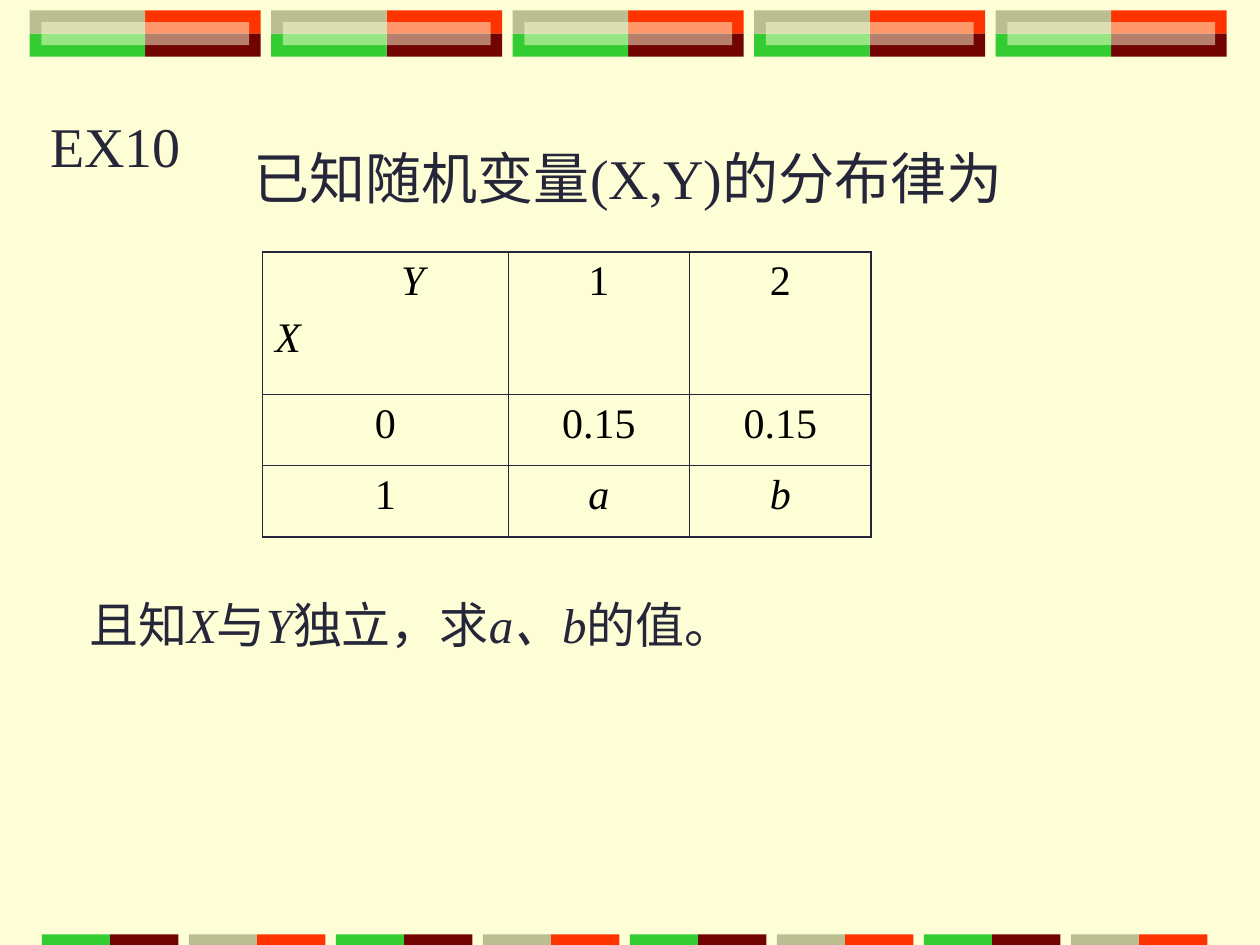
"""Build the EX10 slide: a joint distribution table between two decorative strips."""
from lxml import etree
from pptx import Presentation
from pptx.dml.color import RGBColor
from pptx.enum import shapes, text
from pptx.oxml import ns
from pptx.util import Pt

CREAM = RGBColor(0xFE, 0xFE, 0xD6)
INK = RGBColor(0x26, 0x26, 0x3A)
BLACK = RGBColor(0, 0, 0)
RED = RGBColor(0xFF, 0x33, 0x00)
MAROON = RGBColor(0x71, 0x03, 0x03)
GREEN = RGBColor(0x33, 0xCC, 0x33)
KHAKI = RGBColor(0xBA, 0xBE, 0x90)
FONT = "Times New Roman"

TITLE = [("EX10", False)]
STATEMENT = [("已知随机变量(X,Y)的分布律为", False)]
QUESTION = [("且知", False), ("X", True), ("与", False), ("Y", True),
            ("独立，求", False), ("a、b", True), ("的值。", False)]
TABLE = [
    [["Y", "X"], ["1"], ["2"]],
    [["0"], ["0.15"], ["0.15"]],
    [["1"], ["a"], ["b"]],
]
COLUMN_WIDTHS = [140.4, 103.7, 103.7]
ROW_HEIGHTS = [81.4, 40.8, 40.8]
TOP_TILES = [(1, 0, RED), (1, 1, MAROON), (0, 1, GREEN), (0, 0, KHAKI)]
BOTTOM_PAIRS = [(GREEN, MAROON), (KHAKI, RED)]


def add_rectangle(group, left, top, width, height, color, opacity=None):
    shape = group.shapes.add_shape(
        shapes.MSO_SHAPE.RECTANGLE, Pt(left), Pt(top), Pt(width), Pt(height))
    shape.shadow.inherit = False
    shape.fill.solid()
    shape.fill.fore_color.rgb = color
    shape.line.fill.background()
    if opacity:
        color_element = shape.fill._xPr.find(".//" + ns.qn("a:srgbClr"))
        etree.SubElement(color_element, ns.qn("a:alpha"), val=str(opacity * 1000))


def add_strips(slide):
    width, height, inset = 66, 13.2, 6.6
    top_strip = slide.shapes.add_group_shape()
    for index in range(5):
        left, top = 17 + 138 * index, 6
        for column, row, color in TOP_TILES:
            add_rectangle(top_strip, left + column * width, top + row * height,
                          width, height, color)
        add_rectangle(top_strip, left + inset, top + inset,
                      2 * (width - inset), height, CREAM, opacity=50)
    bottom_strip = slide.shapes.add_group_shape()
    for index in range(8):
        for half, color in enumerate(BOTTOM_PAIRS[index % 2]):
            add_rectangle(bottom_strip, 24 + 84 * index + 39 * half, 534, 39, 6, color)


def add_runs(paragraph, runs, size, color):
    for content, italic in runs:
        run = paragraph.add_run()
        run.text = content
        formats = {"name": FONT, "size": Pt(size), "italic": italic, "bold": False}
        for name, value in formats.items():
            setattr(run.font, name, value)
        run.font.color.rgb = color


def format_text(shape, box, runs, size, wrap):
    for name, value in zip(("left", "top", "width", "height"), box):
        setattr(shape, name, Pt(value))
    formats = {"word_wrap": wrap, "auto_size": text.MSO_AUTO_SIZE.SHAPE_TO_FIT_TEXT,
               "vertical_anchor": text.MSO_ANCHOR.MIDDLE}
    for name, value in formats.items():
        setattr(shape.text_frame, name, value)
    paragraph = shape.text_frame.paragraphs[0]
    paragraph.alignment = text.PP_ALIGN.CENTER
    add_runs(paragraph, runs, size, INK)


def set_borders(cell, outer_sides):
    properties = cell._tc.get_or_add_tcPr()
    for position, (side, outer) in enumerate(outer_sides.items()):
        line = etree.Element(ns.qn("a:" + side), w=str(Pt(1.08 if outer else 0.45)))
        fill = etree.SubElement(line, ns.qn("a:solidFill"))
        etree.SubElement(fill, ns.qn("a:srgbClr"), val=str(INK))
        properties.insert(position, line)


def add_distribution(slide):
    last_row, last_column = len(ROW_HEIGHTS) - 1, len(COLUMN_WIDTHS) - 1
    table = slide.shapes.add_table(
        len(ROW_HEIGHTS), len(COLUMN_WIDTHS), Pt(150), Pt(144),
        Pt(sum(COLUMN_WIDTHS)), Pt(sum(ROW_HEIGHTS))).table
    table.first_row = table.horz_banding = False
    for column, width in zip(table.columns, COLUMN_WIDTHS):
        column.width = Pt(width)
    for row, height in zip(table.rows, ROW_HEIGHTS):
        row.height = Pt(height)
    for r, values in enumerate(TABLE):
        for c, lines in enumerate(values):
            cell = table.cell(r, c)
            cell.fill.background()
            is_corner = len(lines) > 1
            for index, content in enumerate(lines):
                frame = cell.text_frame
                paragraph = frame.add_paragraph() if index else frame.paragraphs[0]
                paragraph.alignment = (
                    text.PP_ALIGN.LEFT if is_corner else text.PP_ALIGN.CENTER)
                if index:
                    paragraph.space_before = Pt(6)
                elif is_corner:
                    paragraph._p.get_or_add_pPr().set("marL", str(Pt(72)))
                add_runs(paragraph, [(content, content.isalpha())], 24, BLACK)
            set_borders(cell, {"lnL": c == 0, "lnR": c == last_column,
                               "lnT": r == 0, "lnB": r == last_row})


def main():
    presentation = Presentation()
    presentation.slide_width, presentation.slide_height = Pt(720), Pt(540)
    slide = presentation.slides.add_slide(presentation.slide_layouts[5])
    slide.background.fill.solid()
    slide.background.fill.fore_color.rgb = CREAM
    add_strips(slide)
    format_text(slide.shapes.title, (0, 60, 132, 46), TITLE, 32, True)
    for box, runs, size in [((130, 78, 458, 46), STATEMENT, 32),
                            ((17, 336, 436, 41), QUESTION, 28)]:
        format_text(slide.shapes.add_textbox(0, 0, 0, 0), box, runs, size, False)
    add_distribution(slide)
    presentation.save("out.pptx")


if __name__ == "__main__":
    main()
